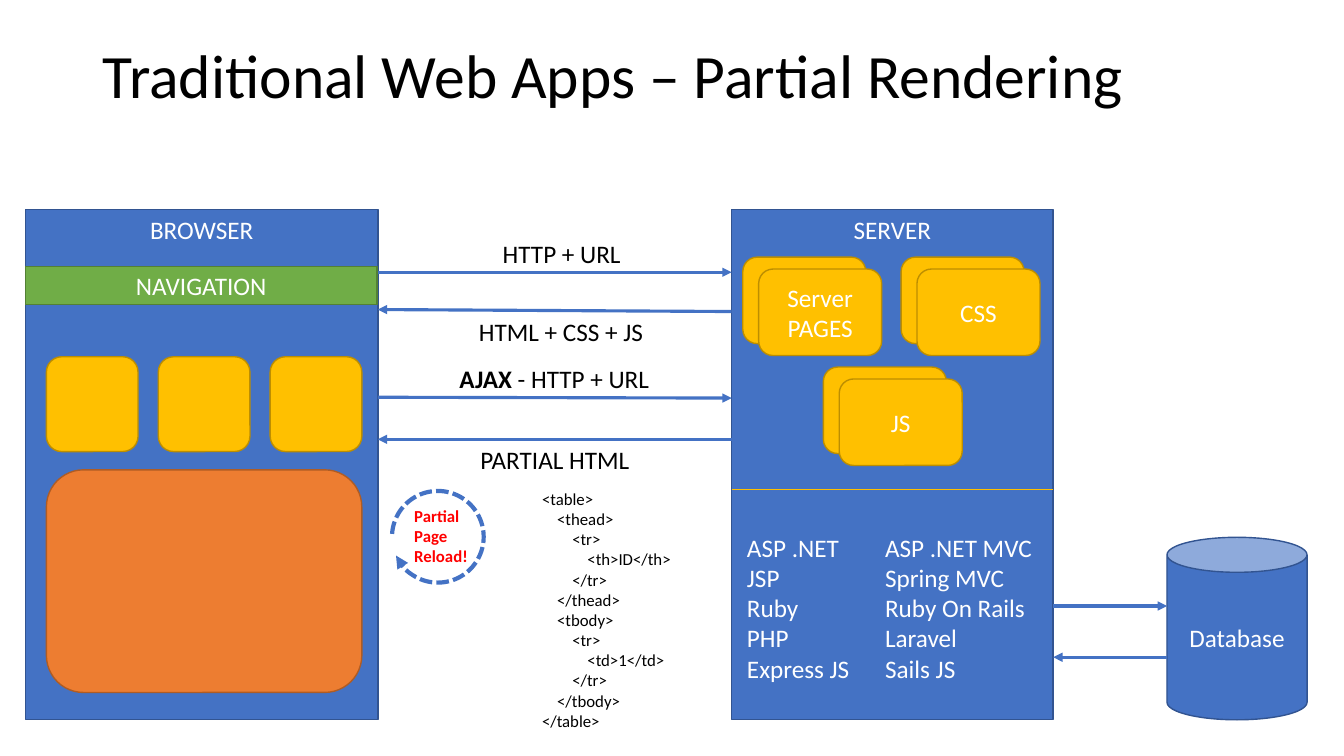
import pptx
import pptx.dml.color
import pptx.enum.dml
import pptx.enum.shapes
import pptx.enum.text
import pptx.oxml
import pptx.oxml.ns
import pptx.util

Cm = pptx.util.Cm
Pt = pptx.util.Pt
KIND = pptx.enum.shapes.MSO_SHAPE
ALIGN = pptx.enum.text.PP_ALIGN
ANCHOR = pptx.enum.text.MSO_ANCHOR
BLUE, GOLD, GREEN, ORANGE = "4472C4", "FFC000", "70AD47", "ED7D31"
EDGE = {BLUE: "325491", GOLD: "BD8E00", GREEN: "538035", ORANGE: "AF5C24"}
CODE = """<table>
    <thead>
        <tr>
            <th>ID</th>
        </tr>
    </thead>
    <tbody>
        <tr>
            <td>1</td>
        </tr>
    </tbody>
</table>"""


def paint(target, color):
    target.rgb = pptx.dml.color.RGBColor.from_string(color)


def add_tag(parent, tag, **attrs):
    node = pptx.oxml.parse_xml(f"<a:{tag} {pptx.oxml.ns.nsdecls('a')}/>")
    for key, value in attrs.items():
        node.set(key, value)
    parent.append(node)


def write(frame, text, lead="", size=18, color="000000", bold=False,
          align=ALIGN.LEFT, anchor=ANCHOR.TOP, wrap=True, space=1.0, plain=False):
    frame.word_wrap = wrap
    frame.auto_size = pptx.enum.text.MSO_AUTO_SIZE.NONE
    frame.vertical_anchor = anchor
    for row, line in enumerate(text.split("\n")):
        para = frame.add_paragraph() if row else frame.paragraphs[0]
        para.alignment = align
        para.line_spacing = space
        para.space_before = Pt(0)
        if plain:
            props = para._p.get_or_add_pPr()
            props.set("marL", "0")
            props.set("indent", "0")
            add_tag(props, "buNone")
        parts = [(lead, True), (line, bold)] if lead else [(line, bold)]
        for part, heavy in parts:
            run = para.add_run()
            run.text = part
            run.font.name = "Calibri"
            run.font.size = Pt(size)
            run.font.bold = heavy
            paint(run.font.color, color)


class Canvas:
    """Draw styled elements on the current slide."""

    def __init__(self, deck):
        self.slide = deck.slides.add_slide(deck.slide_layouts[3])
        self.shapes = self.slide.shapes

    def place(self, index, text, x, y, w, h, **style):
        holder = self.slide.placeholders[index]
        holder.left, holder.top, holder.width, holder.height = map(Cm, (x, y, w, h))
        write(holder.text_frame, text, **style)
        self.shapes._spTree.append(holder._element)

    def block(self, kind, x, y, w, h, fill, text="", anchor=ANCHOR.MIDDLE):
        shape = self.shapes.add_shape(kind, Cm(x), Cm(y), Cm(w), Cm(h))
        shape.shadow.inherit = False
        shape.fill.solid()
        paint(shape.fill.fore_color, fill)
        paint(shape.line.color, EDGE[fill])
        shape.line.width = Pt(1)
        if text:
            write(shape.text_frame, text, color="FFFFFF", align=ALIGN.CENTER, anchor=anchor)

    def label(self, text, x, y, w, h=1.02, wrap=False, **style):
        box = self.shapes.add_textbox(Cm(x), Cm(y), Cm(w), Cm(h))
        write(box.text_frame, text, wrap=wrap, **style)

    def link(self, x1, y1, x2, y2, color=BLUE, width=2.25, arrow=True):
        line = self.shapes.add_connector(
            pptx.enum.shapes.MSO_CONNECTOR.STRAIGHT, Cm(x1), Cm(y1), Cm(x2), Cm(y2))
        paint(line.line.color, color)
        line.line.width = Pt(width)
        if arrow:
            add_tag(line.line._get_or_add_ln(), "tailEnd", type="triangle")
        add_tag(line._element.spPr, "effectLst")

    def stack(self, x, y, text):
        self.block(KIND.ROUNDED_RECTANGLE, x, y, 3.1, 2.18, GOLD)
        self.block(KIND.ROUNDED_RECTANGLE, x + 0.4, y + 0.3, 3.1, 2.18, GOLD, text)

    def loop(self, x, y, size):
        arc = self.shapes.add_shape(KIND.ARC, Cm(x), Cm(y), Cm(size), Cm(size))
        arc.shadow.inherit = False
        arc.fill.background()
        arc.rotation = 273.6
        arc.adjustments[0] = 162
        arc.adjustments[1] = 145.33
        paint(arc.line.color, BLUE)
        arc.line.width = Pt(3)
        arc.line.dash_style = pptx.enum.dml.MSO_LINE.SQUARE_DOT
        add_tag(arc.line._get_or_add_ln(), "tailEnd", type="triangle")


def main():
    deck = pptx.Presentation()
    deck.slide_width, deck.slide_height = Cm(33.87), Cm(19.05)
    art = Canvas(deck)
    art.place(0, "Traditional Web Apps – Partial Rendering", 2.34, 1.02, 29.21, 3.68,
              size=44, space=0.9)

    left, right, edge, base = 9.52, 18.44, 26.54, 29.41
    art.block(KIND.RECTANGLE, right, 5.28, 8.1, 12.85, BLUE, "SERVER", ANCHOR.TOP)
    art.block(KIND.CAN, base, 13.54, 3.53, 4.6, BLUE, "Database")
    art.link(edge, 15.27, base, 15.27)
    art.link(base, 16.56, edge, 16.56)
    art.link(right, 12.34, edge, 12.34, color=GOLD, width=0.5, arrow=False)
    for x, y, name in ((18.72, 6.48, "Server PAGES"), (22.71, 6.48, "CSS"),
                       (20.75, 9.25, "JS")):
        art.stack(x, y, name)
    art.place(1, "ASP .NET\nJSP\nRuby\nPHP\nExpress JS", 18.57, 13.28, 3.3, 4.11,
              color="FFFFFF", wrap=False, plain=True)
    art.place(2, "ASP .NET MVC\nSpring MVC\nRuby On Rails\nLaravel\nSails JS",
              22.05, 13.28, 4.39, 4.11, color="FFFFFF", plain=True)

    art.block(KIND.RECTANGLE, 0.64, 5.28, 8.89, 12.85, BLUE, "BROWSER", ANCHOR.TOP)
    art.block(KIND.RECTANGLE, 0.64, 6.71, 8.86, 0.97, GREEN, "NAVIGATION")
    for col in range(3):
        art.block(KIND.ROUNDED_RECTANGLE, 1.17 + 2.82 * col, 8.99, 2.31, 2.39, GOLD)
    art.block(KIND.ROUNDED_RECTANGLE, 1.17, 11.84, 7.95, 5.61, ORANGE)

    art.link(left, 6.86, right, 6.86)
    art.link(right, 7.85, left, 7.8)
    art.link(left, 10.01, right, 10.03)
    art.link(right, 11.07, left, 11.07)
    art.label("HTTP + URL", 12.42, 5.87, 3.53)
    art.label("HTML + CSS + JS", 11.79, 7.85, 4.7, align=ALIGN.CENTER)
    art.label(" - HTTP + URL", 11.33, 9.04, 5.33, lead="AJAX")
    art.label("PARTIAL HTML", 11.86, 11.07, 4.29)
    art.label(CODE, 13.41, 12.19, 4.01, 6.4, wrap=True, size=12)
    art.loop(9.88, 12.37, 2.31)
    art.label("Partial\nPage\nReload!", 10.19, 12.62, 1.88, 1.8,
              size=12, color="FF0000", bold=True)
    deck.save("out.pptx")


if __name__ == "__main__":
    main()
